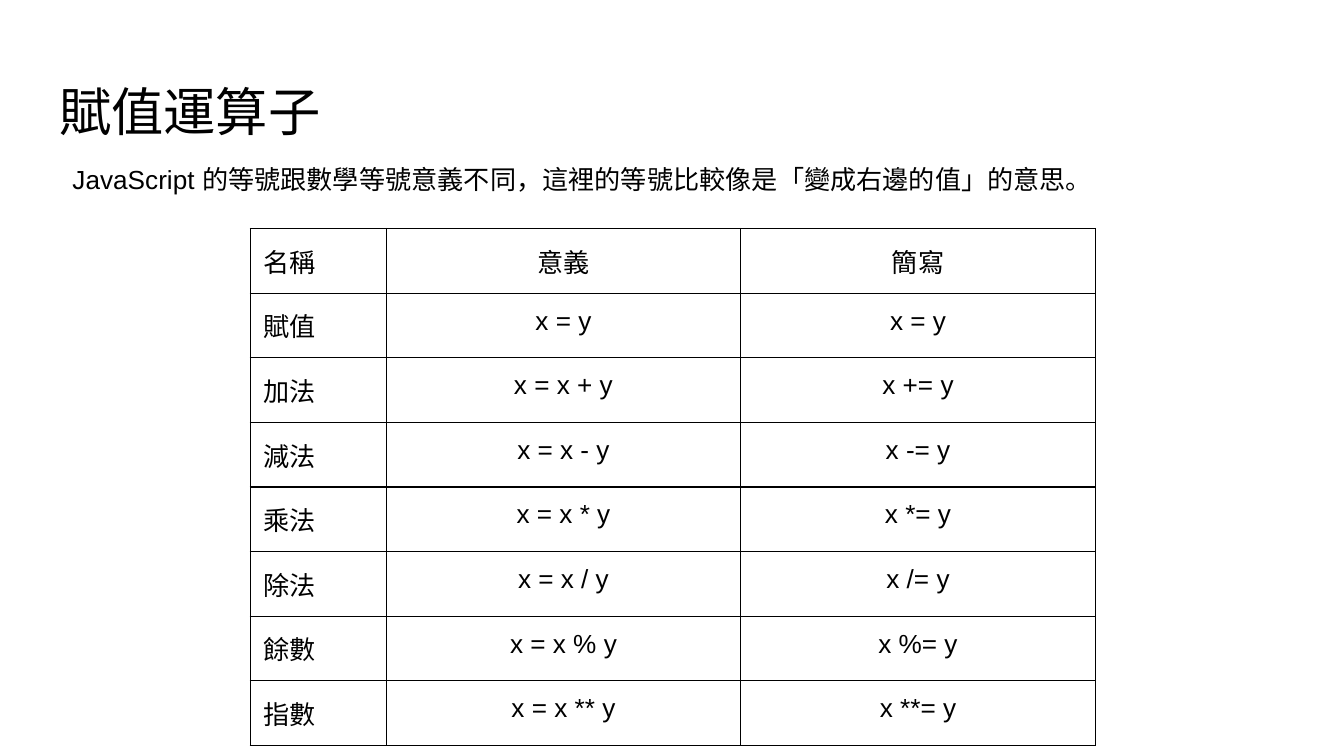
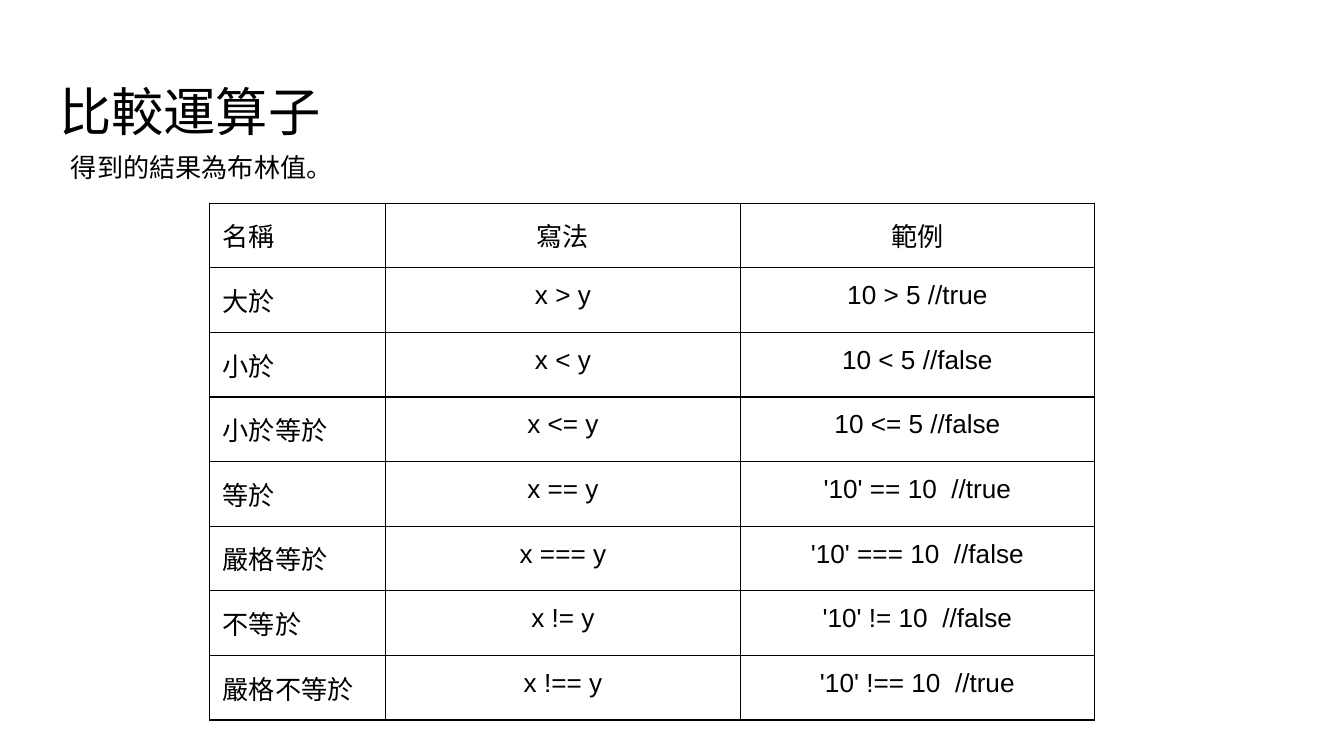
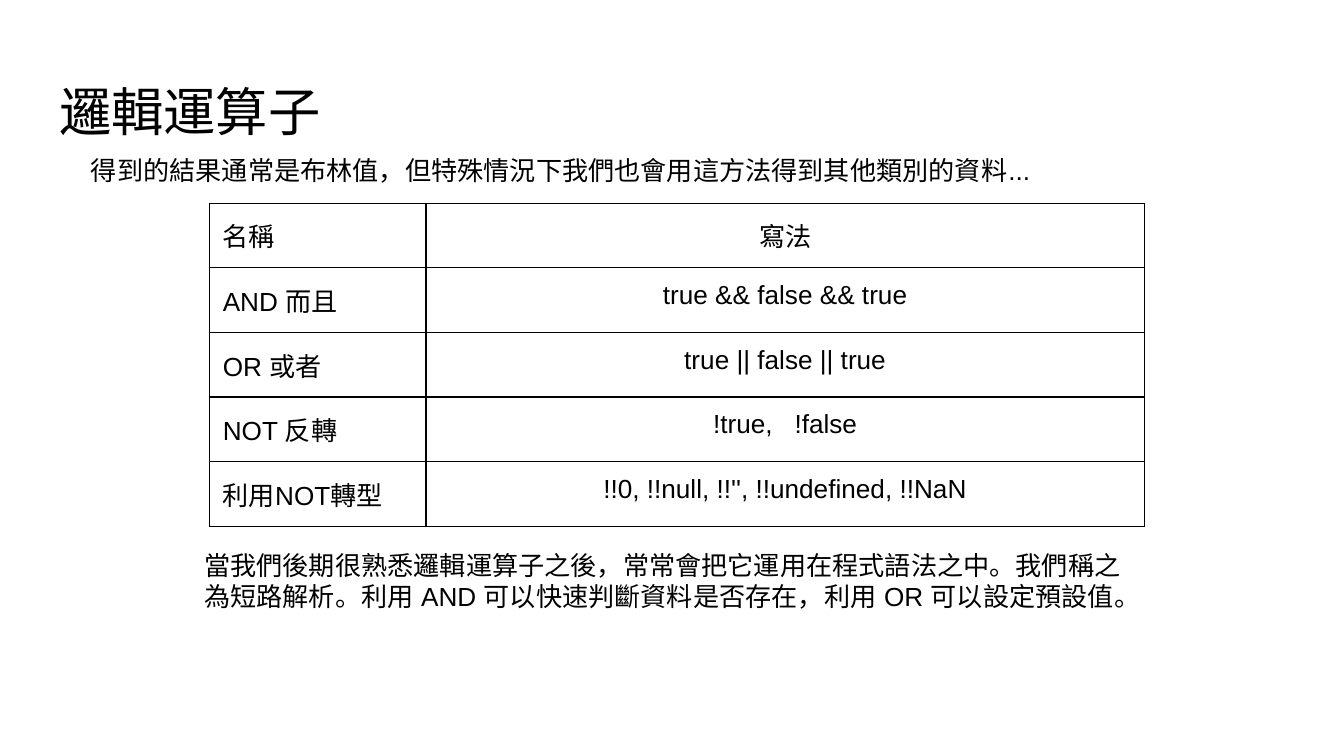
import pptx
import pptx.dml.color
import pptx.enum.text
import pptx.oxml.ns
import pptx.util
from lxml import etree

Cm = pptx.util.Cm
Pt = pptx.util.Pt
qn = pptx.oxml.ns.qn
ALIGN = pptx.enum.text.PP_ALIGN
FIT = pptx.enum.text.MSO_AUTO_SIZE

# Shared style
BLACK = pptx.dml.color.RGBColor(0x00, 0x00, 0x00)
FONT = "Arial"
INSET = Cm(0.25)
ROW = Cm(1.22)
RULE = Pt(0.75)


class Deck:
    def __init__(self):
        self.prs = pptx.Presentation()
        self.prs.slide_width = Cm(25.4)
        self.prs.slide_height = Cm(14.29)
        self.slide = None

    def style(self, frame, size, align=ALIGN.LEFT, asian=True):
        """Format all text; asian applies the font to Chinese text too."""
        for para in frame.paragraphs:
            para.alignment = align
            for run in para.runs:
                font = run.font
                font.name, font.size, font.bold = FONT, Pt(size), False
                font.color.rgb = BLACK
                if asian:
                    props = run._r.get_or_add_rPr()
                    etree.SubElement(props, qn("a:ea"), typeface=FONT)

    def inset(self, box):
        box.margin_left = box.margin_right = INSET
        box.margin_top = box.margin_bottom = INSET

    def page(self, title):
        """Start a slide with its title."""
        self.slide = self.prs.slides.add_slide(self.prs.slide_layouts[5])
        head = self.slide.shapes.title
        head.left, head.top = Cm(0.87), Cm(1.24)
        head.width, head.height = Cm(23.7), Cm(1.8)
        frame = head.text_frame
        frame.text = title
        frame.auto_size = FIT.NONE
        frame.vertical_anchor = pptx.enum.text.MSO_ANCHOR.TOP
        self.inset(frame)
        self.style(frame, 28)

    def note(self, text, left, top, width, height=1.11):
        box = self.slide.shapes.add_textbox(
            Cm(left), Cm(top), Cm(width), Cm(height))
        frame = box.text_frame
        frame.word_wrap = True
        frame.auto_size = FIT.SHAPE_TO_FIT_TEXT
        frame.text = text
        self.inset(frame)
        self.style(frame, 14)

    def border(self, cell):
        props = cell._tc.get_or_add_tcPr()
        for index, side in enumerate("LRTB"):
            line = etree.Element(qn("a:ln" + side), w=str(int(RULE)))
            fill = etree.SubElement(line, qn("a:solidFill"))
            etree.SubElement(fill, qn("a:srgbClr"), val=str(BLACK))
            props.insert(index, line)

    def table(self, left, top, widths, rows):
        """Ruled table: names on the left, other columns centred."""
        grid = self.slide.shapes.add_table(
            len(rows), len(widths), Cm(left), Cm(top),
            Cm(sum(widths)), ROW * len(rows)).table
        grid.first_row = grid.horz_banding = False
        for col, width in zip(grid.columns, widths):
            col.width = Cm(width)
        for r, row in enumerate(rows):
            grid.rows[r].height = ROW
            for c, text in enumerate(row):
                cell = grid.cell(r, c)
                cell.text_frame.text = text
                cell.fill.background()
                self.inset(cell)
                self.border(cell)
                self.style(cell.text_frame, 14,
                           ALIGN.CENTER if c else ALIGN.LEFT, asian=False)


def main():
    deck = Deck()

    # Assignment operators
    deck.page("賦值運算子")
    signs = [("加法", "+"), ("減法", "-"), ("乘法", "*"),
             ("除法", "/"), ("餘數", "%"), ("指數", "**")]
    deck.table(4.73, 4.32, [2.57, 6.7, 6.7], [
        ("名稱", "意義", "簡寫"),
        ("賦值", "x = y", "x = y"),
        *[(name, f"x = x {sign} y", f"x {sign}= y") for name, sign in signs],
    ])
    deck.note("JavaScript 的等號跟數學等號意義不同，這裡的等號比較像是「變成右邊的值」的意思。",
              1.12, 2.84, 22.1)

    # Comparison operators
    deck.page("比較運算子")
    tests = [("大於", ">", "10 > 5 //true"),
             ("小於", "<", "10 < 5 //false"),
             ("小於等於", "<=", "10 <= 5 //false"),
             ("等於", "==", "'10' == 10  //true"),
             ("嚴格等於", "===", "'10' === 10  //false"),
             ("不等於", "!=", "'10' != 10  //false"),
             ("嚴格不等於", "!==", "'10' !== 10  //true")]
    deck.table(3.96, 3.84, [3.33, 6.7, 6.7], [
        ("名稱", "寫法", "範例"),
        *[(name, f"x {sign} y", case) for name, sign, case in tests],
    ])
    deck.note("得到的結果為布林值。", 1.09, 2.62, 10.6)

    # Logical operators
    deck.page("邏輯運算子")
    deck.table(3.96, 3.84, [4.09, 13.58], [
        ("名稱", "寫法"),
        ("AND 而且", "true && false && true"),
        ("OR 或者", "true || false || true"),
        ("NOT 反轉", "!true,   !false"),
        ("利用NOT轉型", "!!0, !!null, !!'', !!undefined, !!NaN"),
    ])
    deck.note("當我們後期很熟悉邏輯運算子之後，常常會把它運用在程式語法之中。"
              "我們稱之為短路解析。利用 AND 可以快速判斷資料是否存在，"
              "利用 OR 可以設定預設值。", 3.61, 10.13, 18.19, 1.7)
    deck.note("得到的結果通常是布林值，但特殊情況下我們也會用這方法得到其他類別的資料...",
              1.47, 2.67, 20.57)

    deck.prs.save("out.pptx")


if __name__ == "__main__":
    main()
